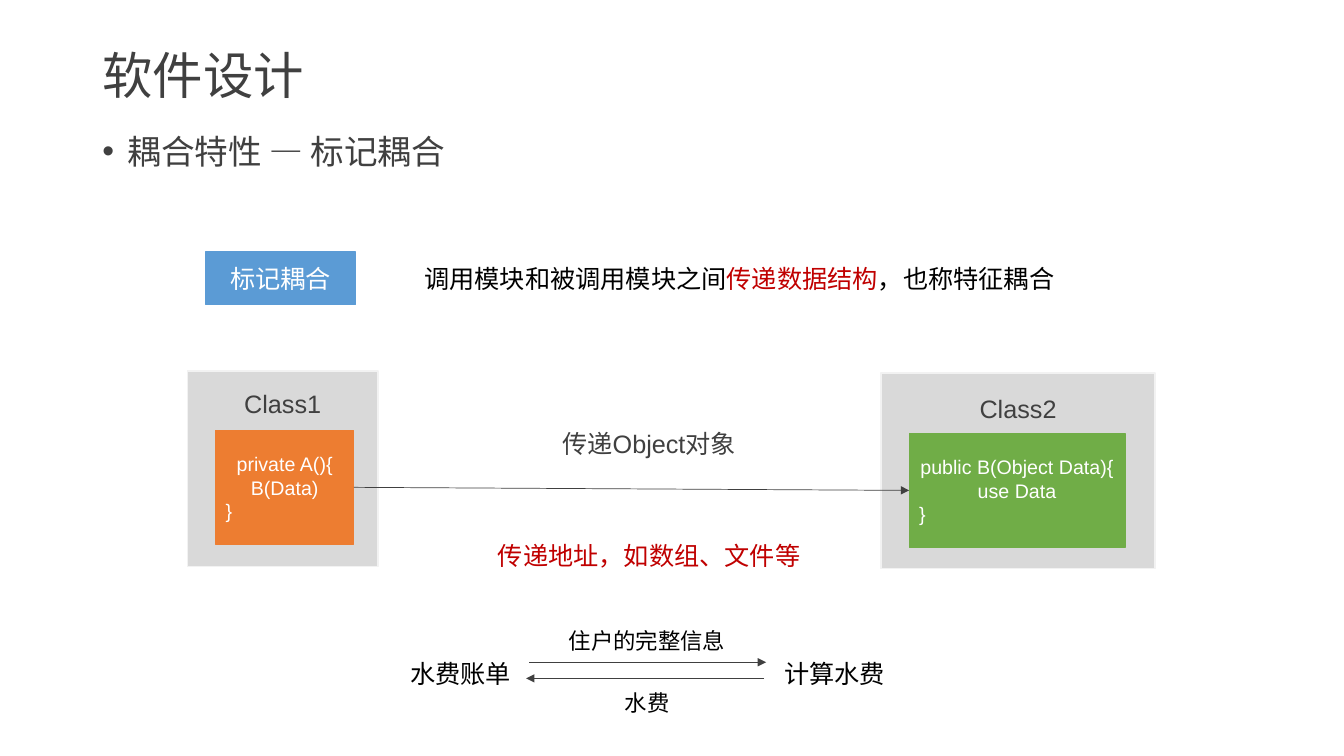
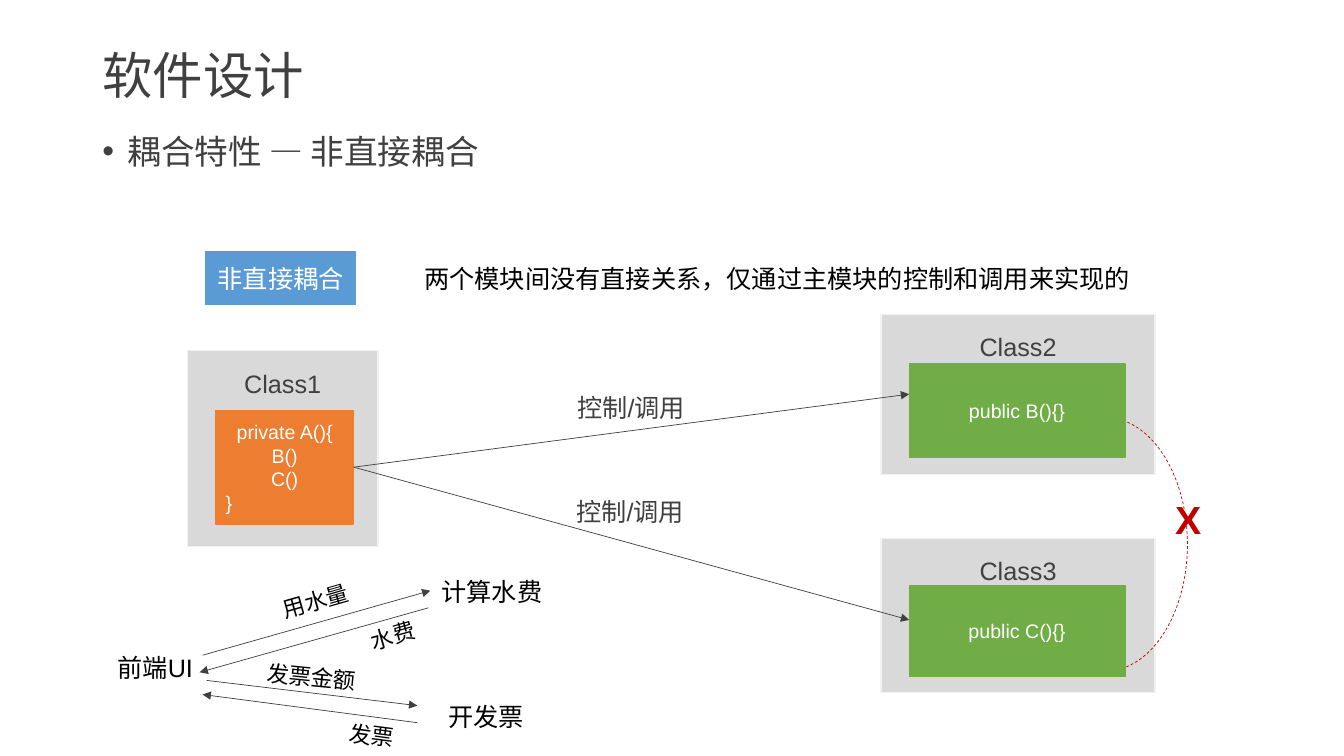
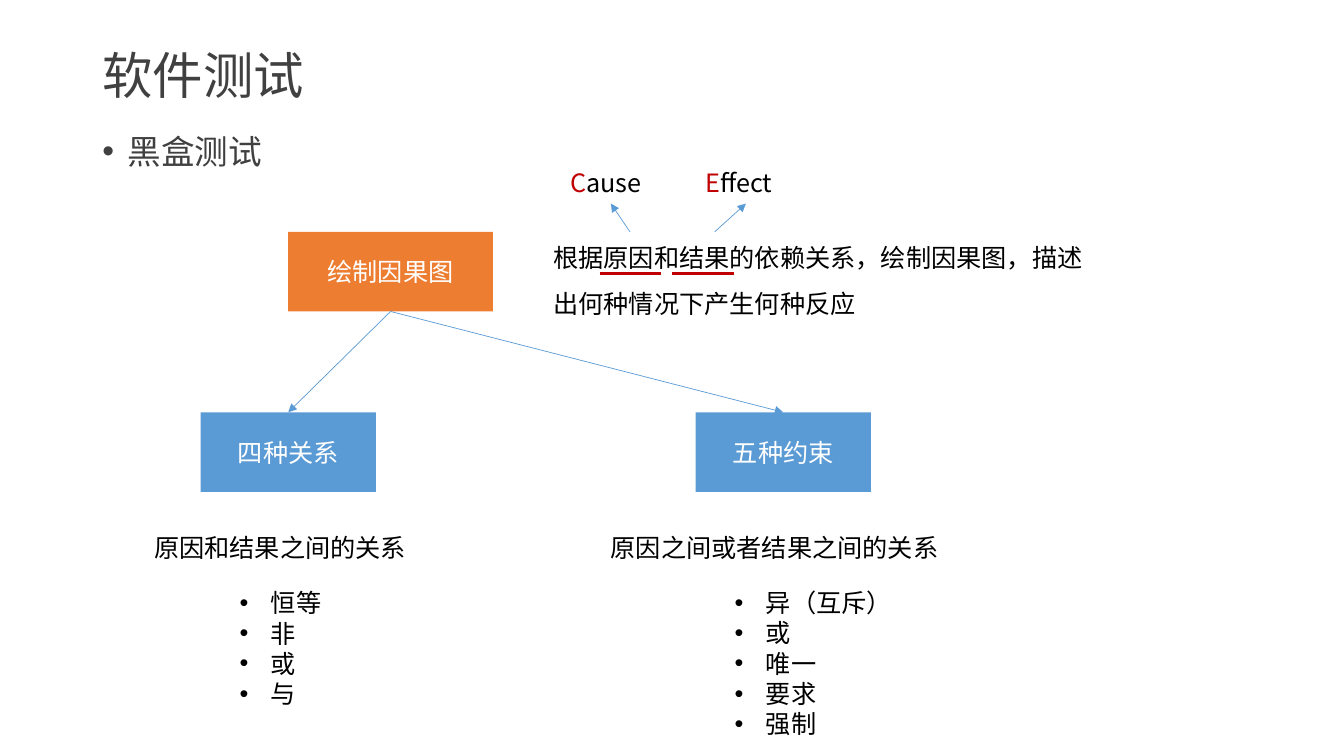
"""Builds three slides on module coupling and cause-effect graphs, on an 80 by 45 grid."""
from lxml import etree
from pptx import Presentation
from pptx import util as u
from pptx.dml.color import RGBColor
from pptx.enum import dml, shapes, text
from pptx.oxml.ns import qn

C = {"ink": "404040", "black": "000000", "white": "FFFFFF", "red": "C00000", "blue": "5B9BD5",
     "orange": "ED7D31", "green": "70AD47", "panel": "D9D9D9", "rim": "F2F2F2"}
LATIN, CJK = "Arial", "Noto Sans CJK SC"
LEFT, CENTER = text.PP_ALIGN.LEFT, text.PP_ALIGN.CENTER
TOP, MIDDLE = text.MSO_ANCHOR.TOP, text.MSO_ANCHOR.MIDDLE

prs = Presentation()
prs.slide_width, prs.slide_height = u.Inches(13.333), u.Inches(7.5)
COL, ROW = prs.slide_width / 80, prs.slide_height / 45


def box(s, at, paras, holder=None, fill=None, edge=None, size=18, color="black", font=LATIN,
        align=CENTER, anchor=TOP, spacing=None, indent=0, bold=False):
    """Place a placeholder, filled rectangle or text box, and write its paragraphs run by run."""
    x, y, w, h = at[0] * COL, at[1] * ROW, at[2] * COL, at[3] * ROW
    if holder is not None:
        sp = holder
        sp.left, sp.top, sp.width, sp.height = (int(v) for v in (x, y, w, h))
    elif fill:
        sp = s.shapes.add_shape(shapes.MSO_SHAPE.RECTANGLE, int(x), int(y), int(w), int(h))
        sp.shadow.inherit = False
        sp.fill.solid()
        sp.fill.fore_color.rgb = RGBColor.from_string(C[fill])
        if edge:
            sp.line.color.rgb = RGBColor.from_string(C[edge])
            sp.line.width = u.Pt(1)
        else:
            sp.line.fill.background()
    else:
        sp = s.shapes.add_textbox(int(x), int(y), int(w), int(h))
    tf = sp.text_frame
    tf.word_wrap = True
    tf.vertical_anchor = anchor
    for i, runs in enumerate(paras):
        p = tf.paragraphs[0] if i == 0 else tf.add_paragraph()
        if indent:
            pPr = p._p.get_or_add_pPr()
            pPr.set("marL", str(u.Inches(indent)))
            pPr.set("indent", str(-u.Inches(indent)))
            etree.SubElement(pPr, qn("a:buFont")).set("typeface", LATIN)
            etree.SubElement(pPr, qn("a:buChar")).set("char", "•")
        p.alignment = align
        p.space_before = u.Pt(0)
        if spacing:
            p.line_spacing = spacing
        for words, tone in [(runs, color)] if isinstance(runs, str) else runs:
            r = p.add_run()
            r.text = words
            r.font.size, r.font.name, r.font.bold = u.Pt(size), font, bold
            r.font.color.rgb = RGBColor.from_string(C[tone])
            etree.SubElement(r._r.get_or_add_rPr(), qn("a:ea")).set("typeface", CJK)
    return sp


def line(s, x1, y1, x2, y2, color="ink", width=0.5, arrow=True):
    """Draw a straight line in grid units, with an arrowhead at its end."""
    c = s.shapes.add_connector(shapes.MSO_CONNECTOR.STRAIGHT, int(x1 * COL), int(y1 * ROW),
                               int(x2 * COL), int(y2 * ROW))
    c.line.color.rgb = RGBColor.from_string(C[color])
    c.line.width = u.Pt(width)
    if arrow:
        etree.SubElement(c.line._get_or_add_ln(), qn("a:tailEnd")).set("type", "triangle")
    etree.SubElement(c._element.spPr, qn("a:effectLst"))
    return c


slides = []
for title, topic in [("软件设计", "耦合特性 — 标记耦合"), ("软件设计", "耦合特性 — 非直接耦合"),
                     ("软件测试", "黑盒测试")]:
    s = prs.slides.add_slide(prs.slide_layouts[1])
    box(s, (5.5, 2.4, 69, 4.56), [title], s.shapes.title, size=36, color="ink", font=CJK,
        align=LEFT, anchor=MIDDLE, spacing=0.9)
    box(s, (5.5, 7.75, 69, 32.75), [topic], s.placeholders[1], size=24, color="ink",
        align=LEFT, spacing=0.9, indent=0.25)
    slides.append(s)
stamp, indirect, graph = slides

for s, term, meaning in [
    (stamp, "标记耦合", [("调用模块和被调用模块之间", "black"), ("传递数据结构", "red"),
                     ("，也称特征耦合", "black")]),
    (indirect, "非直接耦合", "两个模块间没有直接关系，仅通过主模块的控制和调用来实现的"),
]:
    box(s, (12.24, 15, 8.94, 3.12), [term], fill="blue", edge="blue", color="white", anchor=MIDDLE)
    box(s, (24.66, 15.36, 52.44, 2.4), [meaning], align=LEFT)

caller, callee = (11.16, 11.34, 8.22, "orange"), (52.44, 16.32, 12.84, "green")
methods = []
for s, name, (x, w, method_w, fill), y, h, label_gap, method_gap, method_h, code in [
    (stamp, "Class1", caller, 22.08, 11.64, 0.72, 3.54, 6.78, ["private A(){", "B(Data)", "}"]),
    (stamp, "Class2", callee, 22.2, 11.64, 0.9, 3.6, 6.78,
     ["public B(Object Data){", "use Data", "}"]),
    (indirect, "Class1", caller, 20.88, 11.64, 0.78, 3.54, 6.78,
     ["private A(){", "B()", "C()", "}"]),
    (indirect, "Class2", callee, 18.72, 9.54, 0.72, 2.94, 5.58, ["public B(){}"]),
    (indirect, "Class3", callee, 32.04, 9.18, 0.72, 2.82, 5.4, ["public C(){}"]),
]:
    box(s, (x, y, w, h), [], fill="panel", edge="rim")
    box(s, (x, y + label_gap, w, 2.4), [name], color="ink")
    method = box(s, (x + 1.68, y + method_gap, method_w, method_h), code, fill=fill, edge=fill,
                 size=14, color="white", anchor=MIDDLE)
    if len(code) > 1:
        method.text_frame.paragraphs[-1].alignment = LEFT
    methods.append(method)

c = line(stamp, 21.06, 29.01, 54.12, 29.19)
c.begin_connect(methods[0], 3)
c.end_connect(methods[1], 1)
for y in (23.46, 36.9):
    line(indirect, 21.06, 27.81, 54.12, y).begin_connect(methods[2], 3)

for s, x, y, w, words, color in [
    (stamp, 31.92, 25.2, 13.44, "传递Object对象", "ink"),
    (stamp, 26.64, 31.86, 24, "传递地址，如数组、文件等", "red"),
    (stamp, 23.34, 38.88, 8.16, "水费账单", "black"),
    (stamp, 45.6, 38.88, 8.16, "计算水费", "black"),
    (indirect, 30.84, 23.04, 13.44, "控制/调用", "ink"),
    (indirect, 30.78, 29.22, 13.44, "控制/调用", "ink"),
    (indirect, 5.16, 38.52, 8.16, "前端UI", "black"),
    (indirect, 25.2, 34.02, 8.16, "计算水费", "black"),
    (indirect, 24.84, 41.46, 8.16, "开发票", "black"),
]:
    box(s, (x, y, w, 2.4), [words], color=color)

for s, ends, x, y, words, turn in [
    (stamp, (31.5, 39.42, 45.6, 39.42), 32.52, 37.02, "住户的完整信息", 0),
    (stamp, (45.48, 40.38, 31.32, 40.38), 32.52, 40.74, "水费", 0),
    (indirect, (12.06, 39, 25.62, 35.16), 12.78, 34.68, "用水量", -15.9),
    (indirect, (25.5, 36.18, 11.88, 40.02), 17.4, 36.72, "水费", -15.9),
    (indirect, (12.3, 40.5, 24.84, 42), 12.54, 39.18, "发票金额", 5.7),
    (indirect, (24.84, 43.02, 12.06, 41.34), 16.14, 42.66, "发票", 7.5),
]:
    line(s, *ends)
    box(s, (x, y, 12, 2.22), [words], size=16).rotation = turn

arc = indirect.shapes.add_shape(shapes.MSO_SHAPE.ARC, int(58.2 * COL), int(27.48 * ROW),
                                int(15.12 * COL), int(9.84 * ROW))
arc.adjustments[0], arc.adjustments[1] = 114.28, 210.01
arc.rotation = 90
arc.shadow.inherit = False
arc.fill.background()
arc.line.color.rgb = RGBColor.from_string(C["red"])
arc.line.width = u.Pt(0.5)
arc.line.dash_style = dml.MSO_LINE.DASH
box(indirect, (69.36, 29.16, 6.36, 3.42), ["X"], size=28, color="red", align=LEFT, bold=True)

root = box(graph, (17.16, 13.8, 12.18, 4.74), ["绘制因果图"], fill="orange", color="white",
           anchor=MIDDLE)
box(graph, (32.34, 13.26, 32.88, 5.76),
    ["根据原因和结果的依赖关系，绘制因果图，描述出何种情况下产生何种反应"], align=LEFT, spacing=1.5)

for x, initial, rest, underline_x, pointer in [
    (33.36, "C", "ause", 35.7, (37.5, 13.8, 36.36, 12.12)),
    (41.4, "E", "ffect", 40.02, (42.54, 13.8, 44.4, 12.12)),
]:
    box(graph, (x, 9.66, 6, 2.4), [[(initial, "red"), (rest, "black")]], font=CJK, align=LEFT)
    line(graph, underline_x, 16.26, underline_x + 3.66, 16.26, "red", 2.25, arrow=False)
    line(graph, *pointer, color="blue")

for x, name, caption_x, caption_w, caption, items in [
    (11.94, "四种关系", 8.58, 17.22, "原因和结果之间的关系", ["恒等", "非", "或", "与"]),
    (41.4, "五种约束", 35.76, 21.9, "原因之间或者结果之间的关系",
     ["异（互斥）", "或", "唯一", "要求", "强制"]),
]:
    branch = box(graph, (x, 24.54, 10.44, 4.74), [name], fill="blue", color="white", anchor=MIDDLE)
    c = line(graph, 23.25, 18.54, x + 5.22, 24.54, "blue")
    c.begin_connect(root, 2)
    c.end_connect(branch, 0)
    box(graph, (caption_x, 31.38, caption_w, 2.4), [caption], align=LEFT)
    box(graph, (x + 1.74, 34.68, 11.46, 1.83 * len(items) + 0.6), items, align=LEFT, indent=0.31)

prs.save("out.pptx")
